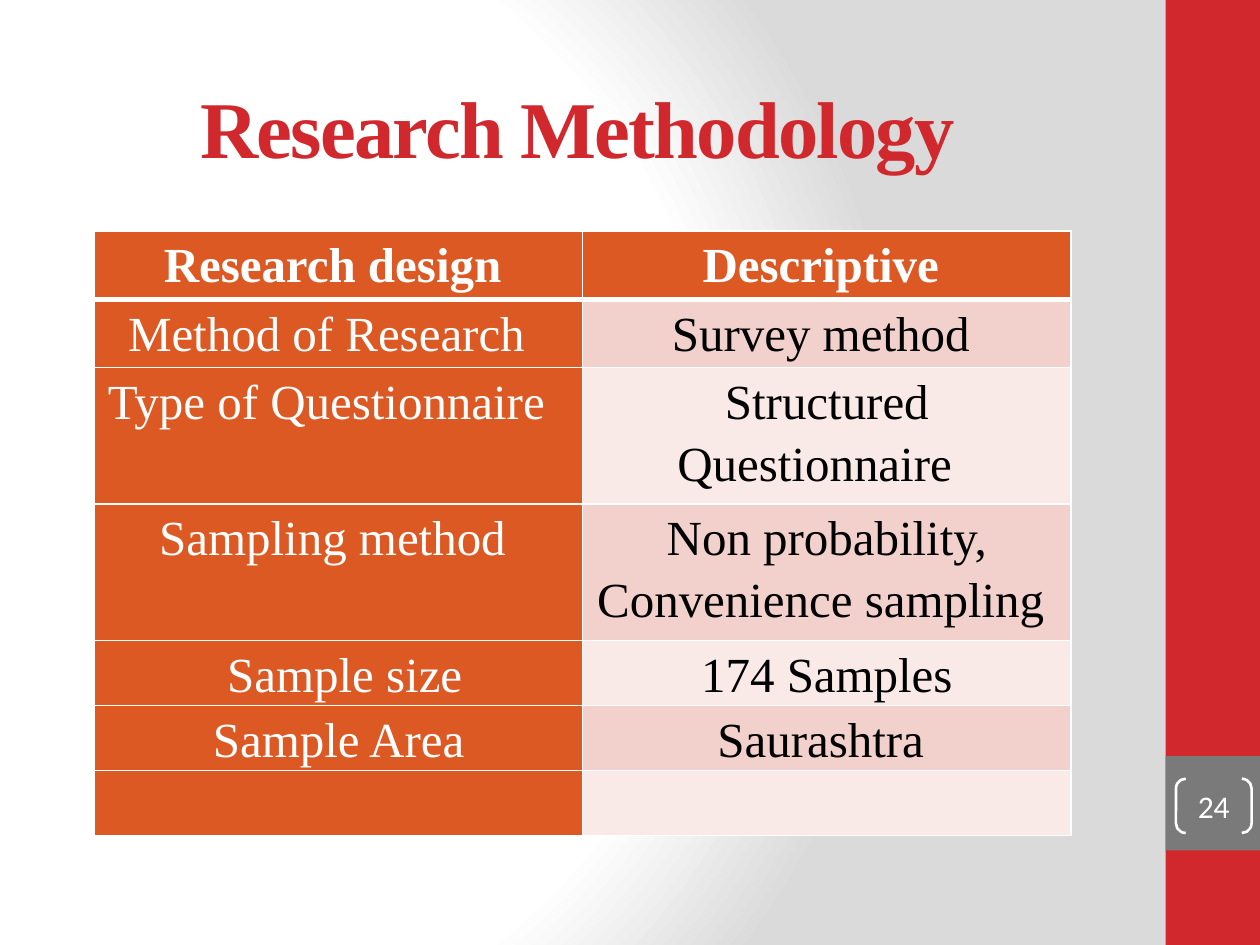
from lxml import etree
from pptx import Presentation
from pptx.dml.color import RGBColor
from pptx.enum import shapes, text
from pptx.oxml import ns
from pptx.util import Pt

COLORS = {
    "red": "D1282E", "gray": "7A7A7A", "orange": "DC5924", "white": "FFFFFF",
    "black": "000000", "dark_band": "F2D1CD", "light_band": "F9EAE8",
    "shade": "DADADA",
}
SERIF, SANS = "Times New Roman", "Calibri"

# Non-breaking spaces at the ends of the texts shift the centred lines
ROWS = [
    ("Research design ", "Descriptive "),
    ("Method of Research  ", "Survey method "),
    ("Type of Questionnaire  ", "Structured Questionnaire  "),
    ("Sampling method ", "Non probability, Convenience sampling "),
    (" Sample size", "174 Samples"),
    ("Sample Area", "Saurashtra "),
    ("", ""),
]
ROW_HEIGHTS = [39, 39, 78, 78, 37.2, 37.2, 37.2]


def rgb(name):
    return RGBColor.from_string(COLORS[name])


def add_xml(parent, tag, **attributes):
    return etree.SubElement(parent, ns.qn(tag), attributes)


class SlideBuilder:
    """Holds the style and the current slide; lengths are in points."""

    def __init__(self, presentation):
        self.slide = presentation.slides.add_slide(presentation.slide_layouts[5])

    def background(self):
        fill = self.slide.background.fill
        fill.gradient()
        gradient = self.slide.element.find(".//" + ns.qn("a:gradFill"))
        for child in list(gradient):
            gradient.remove(child)
        stops = add_xml(gradient, "a:gsLst")
        for position, color in ((0, "white"), (75, "white"), (100, "shade")):
            stop = add_xml(stops, "a:gs", pos=str(position * 1000))
            add_xml(stop, "a:srgbClr", val=COLORS[color])
        circle = add_xml(gradient, "a:path", path="circle")
        add_xml(circle, "a:fillToRect", l="20000", t="50000", r="100000", b="50000")

    def add_text(self, paragraph, words, font, size, color, bold=False):
        paragraph.alignment = text.PP_ALIGN.CENTER
        run = paragraph.add_run()
        run.text = words
        run.font.name, run.font.size, run.font.bold = font, Pt(size), bold
        run.font.color.rgb = rgb(color)
        return run

    def shape(self, kind, left, top, width, height, fill=None, line=None):
        shape = self.slide.shapes.add_shape(
            kind, Pt(left), Pt(top), Pt(width), Pt(height))
        shape.shadow.inherit = False
        if fill:
            shape.fill.solid()
            shape.fill.fore_color.rgb = rgb(fill)
        else:
            shape.fill.background()
        if line:
            shape.line.color.rgb = rgb(line)
            shape.line.width = Pt(1.5)
        else:
            shape.line.fill.background()
        return shape

    def title(self, words, left, top, width, height):
        title = self.slide.shapes.title
        title.left, title.top = Pt(left), Pt(top)
        title.width, title.height = Pt(width), Pt(height)
        frame = title.text_frame
        frame.vertical_anchor = text.MSO_ANCHOR.MIDDLE
        run = self.add_text(frame.paragraphs[0], words, SERIF, 46, "red", bold=True)
        run.font._element.set("spc", "-100")

    def page_number(self, number, left, top, width, height):
        bracket = self.shape(shapes.MSO_SHAPE.DOUBLE_BRACKET,
                             left, top, width, height, line="white")
        bracket.adjustments[0] = 0.18
        frame = bracket.text_frame
        frame.margin_left = frame.margin_right = 0
        frame.margin_top = frame.margin_bottom = 0
        frame.vertical_anchor = text.MSO_ANCHOR.MIDDLE
        self.add_text(frame.paragraphs[0], number, SANS, 18, "white")

    def borders(self, cell, top, bottom):
        properties = cell._tc.get_or_add_tcPr()
        for side, width in (("L", 1), ("R", 1), ("T", top), ("B", bottom)):
            line = add_xml(properties, f"a:ln{side}", w=str(int(Pt(width))))
            add_xml(add_xml(line, "a:solidFill"), "a:srgbClr", val=COLORS["white"])

    def cell(self, cell, words, row, column):
        heading = row == 0
        cell.margin_left = cell.margin_right = 0
        cell.margin_top = cell.margin_bottom = 0
        self.borders(cell, top=3 if row == 1 else 1, bottom=3 if heading else 1)
        on_orange = heading or column == 0
        band = "dark_band" if row % 2 else "light_band"
        cell.fill.solid()
        cell.fill.fore_color.rgb = rgb("orange" if on_orange else band)
        if words:
            paragraph = cell.text_frame.paragraphs[0]
            paragraph.line_spacing = 1.15
            self.add_text(paragraph, words, SERIF, 28,
                          "white" if on_orange else "black", bold=heading)

    def table(self, rows, heights, left, top, width):
        columns = len(rows[0])
        table = self.slide.shapes.add_table(
            len(rows), columns, Pt(left), Pt(top), Pt(width), Pt(sum(heights))).table
        table.first_col = True
        for column in table.columns:
            column.width = Pt(width / columns)
        for row, (texts, height) in enumerate(zip(rows, heights)):
            table.rows[row].height = Pt(height)
            for column, words in enumerate(texts):
                self.cell(table.cell(row, column), words, row, column)


def main():
    presentation = Presentation()
    presentation.slide_width, presentation.slide_height = Pt(720), Pt(540)
    builder = SlideBuilder(presentation)

    # Background and side band
    builder.background()
    rectangle = shapes.MSO_SHAPE.RECTANGLE
    builder.shape(rectangle, 666, 0, 54, 540, fill="red")
    builder.shape(rectangle, 666, 432, 54, 54, fill="gray")

    # Title, table and page number
    builder.title("Research Methodology", 30, 18, 600, 108)
    builder.table(ROWS, ROW_HEIGHTS, 54, 132, 558)
    builder.page_number("24", 672, 445, 43.2, 31)

    presentation.save("out.pptx")


if __name__ == "__main__":
    main()
